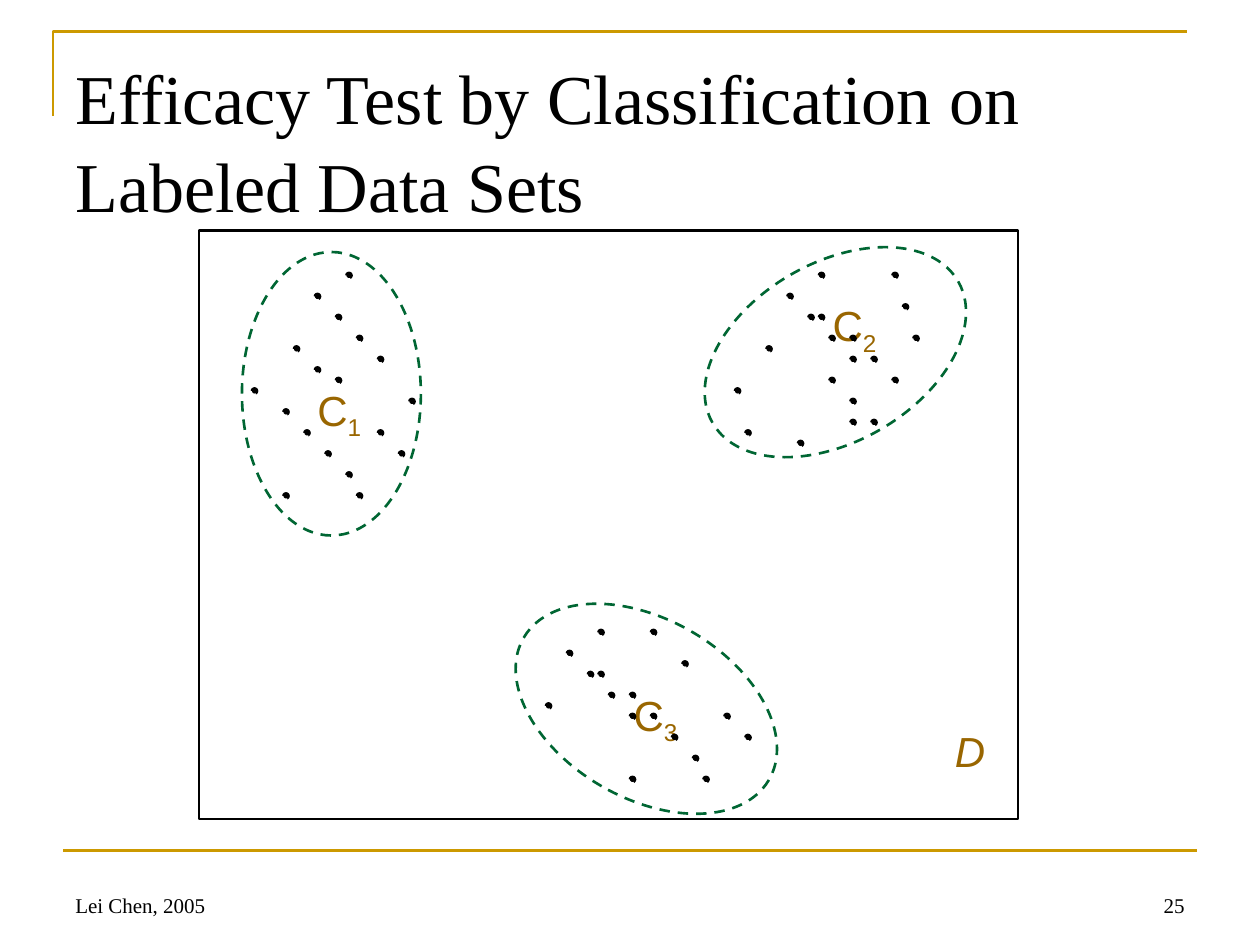
from pptx import Presentation
from pptx.dml.color import RGBColor
from pptx.enum.dml import MSO_LINE
from pptx.enum.shapes import MSO_CONNECTOR, MSO_SHAPE
from pptx.enum.text import MSO_ANCHOR, PP_ALIGN
from pptx.oxml.ns import qn
from pptx.util import Inches, Pt
from lxml.etree import SubElement


def color(hex_string):
    return RGBColor.from_string(hex_string)


def add_text(box, text, size, font_name, hex_string, anchor=MSO_ANCHOR.TOP):
    text_box = slide.shapes.add_textbox(*[Inches(length) for length in box])
    text_box.text_frame.word_wrap = True
    text_box.text_frame.vertical_anchor = anchor
    paragraph = text_box.text_frame.paragraphs[0]
    paragraph.add_run().text = text
    paragraph.font.size = Pt(size)
    paragraph.font.name = font_name
    paragraph.font.color.rgb = color(hex_string)
    return paragraph


GOLD = "CC9900"
BROWN = "996600"
GREEN = "006633"
BLACK = "000000"
SERIF = "Times New Roman"
GRID_STEPS_PER_INCH = 12
DOT_SIZE = 0.04

presentation = Presentation()
presentation.slide_width = Inches(10)
presentation.slide_height = Inches(7.5)
slide = presentation.slides.add_slide(presentation.slide_layouts[6])

builder = slide.shapes.build_freeform(Inches(0.42), Inches(0.92))
builder.add_line_segments(
    [(Inches(0.42), Inches(0.25)), (Inches(9.42), Inches(0.25))], close=False
)
corner = builder.convert_to_shape()
corner.shadow.inherit = False
corner.fill.background()
corner.line.color.rgb = color(GOLD)
corner.line.width = Pt(1.5)

footer_rule = slide.shapes.add_connector(
    MSO_CONNECTOR.STRAIGHT, Inches(0.5), Inches(6.75), Inches(9.5), Inches(6.75)
)
footer_rule.line.color.rgb = color(GOLD)
footer_rule.line.width = Pt(1.5)
SubElement(footer_rule._element.spPr, qn("a:effectLst"))

title = add_text(
    (0.5, 0.35, 9, 1.25),
    "Efficacy Test by Classification on Labeled Data Sets",
    40, SERIF, BLACK,
)
title.line_spacing = 1.05

frame = slide.shapes.add_shape(
    MSO_SHAPE.RECTANGLE, Inches(1.58), Inches(1.83), Inches(6.5), Inches(4.67)
)
frame.shadow.inherit = False
frame.fill.background()
frame.line.color.rgb = color(BLACK)
frame.line.width = Pt(1.5)

clusters = [
    ("1", (1.92, 2), 0, (2.42, 3), [
        (30, 28), (32, 30), (34, 32), (36, 34), (27, 39), (29, 41),
        (31, 43), (33, 45), (28, 33), (36, 41), (38, 43), (27, 47),
        (32, 36), (33, 26), (24, 37), (34, 47), (30, 35), (39, 38),
    ]),
    ("2", (5.92, 1.67), 60, (6.51, 2.33), [
        (81, 32), (83, 34), (85, 36), (71, 41), (87, 32), (79, 36), (81, 40),
        (86, 29), (78, 30), (70, 37), (75, 28), (77, 30), (79, 32), (81, 34),
        (73, 33), (78, 26), (81, 38), (85, 26), (83, 40), (76, 42),
    ]),
    ("3", (4.42, 4.5), 300, (4.93, 5.42), [
        (60, 66), (62, 68), (64, 70), (66, 72), (69, 68), (71, 70),
        (60, 74), (65, 63), (57, 64), (67, 74), (54, 62), (56, 64),
        (58, 66), (60, 68), (52, 67), (57, 60), (62, 60),
    ]),
]

for number, (left, top), rotation, label_position, dots in clusters:
    outline = slide.shapes.add_shape(
        MSO_SHAPE.OVAL, Inches(left), Inches(top), Inches(1.42), Inches(2.25)
    )
    outline.rotation = rotation
    outline.shadow.inherit = False
    outline.fill.background()
    outline.line.color.rgb = color(GREEN)
    outline.line.width = Pt(1.5)
    outline.line.dash_style = MSO_LINE.DASH

    label = add_text((*label_position, 0.67, 0.56), "C", 24, "Arial", BROWN)
    subscript = label.add_run()
    subscript.text = number
    subscript._r.get_or_add_rPr().set("baseline", "-25000")

    for column, row in dots:
        dot = slide.shapes.add_shape(
            MSO_SHAPE.OVAL,
            Inches(column / GRID_STEPS_PER_INCH),
            Inches(row / GRID_STEPS_PER_INCH),
            Inches(DOT_SIZE),
            Inches(DOT_SIZE),
        )
        dot.shadow.inherit = False
        dot.fill.solid()
        dot.fill.fore_color.rgb = color(BLACK)
        dot.line.color.rgb = color(BLACK)
        dot.line.width = Pt(1.5)
        dot.line.dash_style = MSO_LINE.DASH

data_set_label = add_text((7.48, 5.71, 0.67, 0.5), "D", 24, "Arial", BROWN)
data_set_label.font.italic = True

add_text((0.5, 6.83, 3.17, 0.5), "Lei Chen, 2005", 12, SERIF, BLACK, MSO_ANCHOR.BOTTOM)
page_number = add_text((7.17, 6.83, 2.33, 0.5), "25", 12, SERIF, BLACK, MSO_ANCHOR.BOTTOM)
page_number.alignment = PP_ALIGN.RIGHT

presentation.save("out.pptx")
